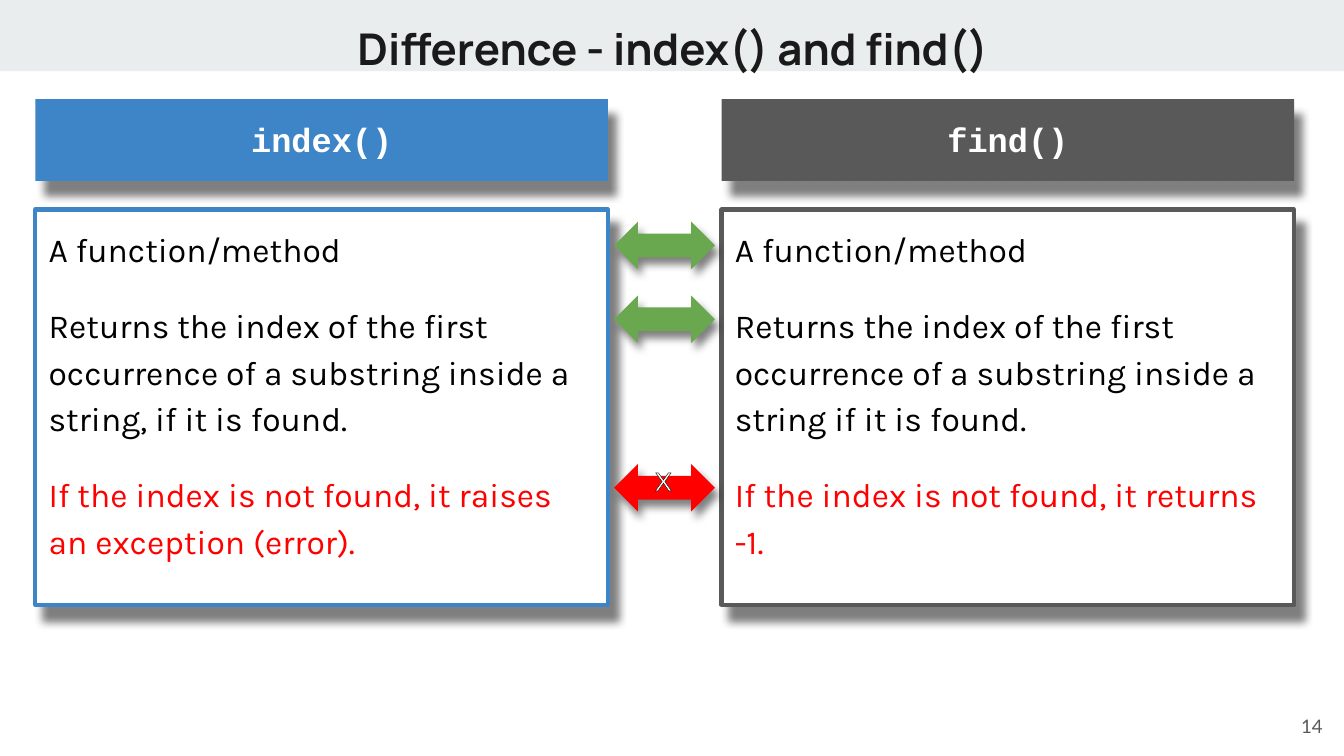
from dataclasses import dataclass

from lxml import etree
from pptx import Presentation
from pptx import util as u
from pptx.dml.color import RGBColor
from pptx.enum import shapes, text
from pptx.oxml import ns


@dataclass(frozen=True)
class Theme:
    band: str = "E9EDEE"
    ink: str = "1A1A1A"
    black: str = "000000"
    white: str = "FFFFFF"
    blue: str = "3D85C6"
    grey: str = "595959"
    same: str = "6AA84F"
    differs: str = "FF0000"
    title: float = 23.4
    body: float = 18
    mark: float = 14
    number: float = 10


THEME = Theme()
TITLE = "Difference - index() and find()"
PAGE_NUMBER = "14"
COLUMNS = [
    ("index()", THEME.blue, 19, [
        "A function/method",
        "Returns the index of the first occurrence of a substring inside a string, if it is found.",
        "If the index is not found, it raises an exception (error).",
    ]),
    ("find()", THEME.grey, 386.6, [
        "A function/method",
        "Returns the index of the first occurrence of a substring inside a string if it is found.",
        "If the index is not found, it returns -1.",
    ]),
]
ARROWS = [(118.8, THEME.same), (158.4, THEME.same), (248.6, THEME.differs)]
INSET = 7.2
COLUMN_WIDTH = 306.7

RECT = shapes.MSO_SHAPE.RECTANGLE
DOUBLE_ARROW = shapes.MSO_SHAPE.LEFT_RIGHT_ARROW
LEFT, CENTER, RIGHT = text.PP_ALIGN.LEFT, text.PP_ALIGN.CENTER, text.PP_ALIGN.RIGHT
TOP, MIDDLE = text.MSO_ANCHOR.TOP, text.MSO_ANCHOR.MIDDLE


def add_shadow(shape, distance):
    effects = shape._element.spPr.find(ns.qn("a:effectLst"))
    shadow = etree.SubElement(
        effects, ns.qn("a:outerShdw"), blurRad=str(u.Pt(4.5)), dist=str(u.Pt(distance)),
        dir=str(61 * 60000), algn="bl", rotWithShape="0")
    color = etree.SubElement(shadow, ns.qn("a:srgbClr"), val=THEME.black)
    etree.SubElement(color, ns.qn("a:alpha"), val="50000")


def add_block(page, kind, frame, fill, line=None, distance=None):
    shape = page.shapes.add_shape(kind, *map(u.Pt, frame))
    shape.shadow.inherit = False
    shape.fill.solid()
    shape.fill.fore_color.rgb = RGBColor.from_string(fill)
    if line:
        shape.line.color.rgb = RGBColor.from_string(line)
        shape.line.width = u.Pt(2.25)
    else:
        shape.line.fill.background()
    if distance:
        add_shadow(shape, distance)
    return shape


def write(shape, paragraphs, font, size, colors, bold=False, align=LEFT, anchor=TOP,
          spacing=1.0, gap=0, inset=INSET):
    frame = shape.text_frame
    frame.text = "\n".join(paragraphs)
    frame.word_wrap = True
    frame.auto_size = text.MSO_AUTO_SIZE.NONE
    frame.vertical_anchor = anchor
    frame.margin_left = frame.margin_right = u.Pt(INSET)
    frame.margin_top = frame.margin_bottom = u.Pt(inset)
    for row, (para, color) in enumerate(zip(frame.paragraphs, colors)):
        para.alignment = align
        para.line_spacing = spacing
        para.space_before = u.Pt(gap if row else 0)
        for span in para.runs:
            span.font.name = font
            span.font.size = u.Pt(size)
            span.font.bold = bold
            span.font.color.rgb = RGBColor.from_string(color)


def add_label(page, frame, label, font, size, color, **options):
    box = page.shapes.add_textbox(*map(u.Pt, frame))
    write(box, [label], font, size, [color], **options)
    return box


def outline_text(box, color, width):
    for span in box.text_frame.paragraphs[0].runs:
        line = etree.Element(ns.qn("a:ln"), w=str(u.Pt(width)))
        fill = etree.SubElement(line, ns.qn("a:solidFill"))
        etree.SubElement(fill, ns.qn("a:srgbClr"), val=color)
        span.font._element.insert(0, line)


def add_title(page):
    title = page.shapes.title
    title.left, title.top, title.width, title.height = map(u.Pt, (57.6, 4.3, 605.5, 42.5))
    write(title, [TITLE], "Manrope", THEME.title, [THEME.ink], bold=True, align=CENTER)
    tree = page.shapes._spTree
    tree.remove(title._element)
    tree.append(title._element)


def main():
    deck = Presentation()
    deck.slide_width, deck.slide_height = u.Pt(720), u.Pt(405)
    page = deck.slides.add_slide(deck.slide_layouts[5])

    add_block(page, RECT, (0, 0, 720, 38.2), THEME.band)
    add_title(page)
    add_label(page, (672.5, 373.7, 43.2, 31), PAGE_NUMBER, "Lato", THEME.number,
              THEME.grey, align=RIGHT, anchor=MIDDLE)

    for name, color, left, facts in COLUMNS:
        card = add_block(page, RECT, (left, 112.3, COLUMN_WIDTH, 211.7), THEME.white, color, 9)
        write(card, facts, "Karla", THEME.body, [THEME.black, THEME.black, THEME.differs],
              spacing=1.15, gap=16)
        header = add_block(page, RECT, (left, 53.1, COLUMN_WIDTH, 43.8), color, distance=9)
        write(header, [name], "Courier New", THEME.body, [THEME.white], bold=True,
              align=CENTER, spacing=1.15)

    for top, color in ARROWS:
        add_block(page, DOUBLE_ARROW, (329, top, 54, 25.4), color, distance=4.5)

    mark = add_label(page, (340.6, 245.5, 29.5, 31), "X", "Arial", THEME.mark, THEME.white,
                     align=CENTER, inset=3.6)
    outline_text(mark, THEME.ink, 0.75)
    deck.save("out.pptx")


if __name__ == "__main__":
    main()
